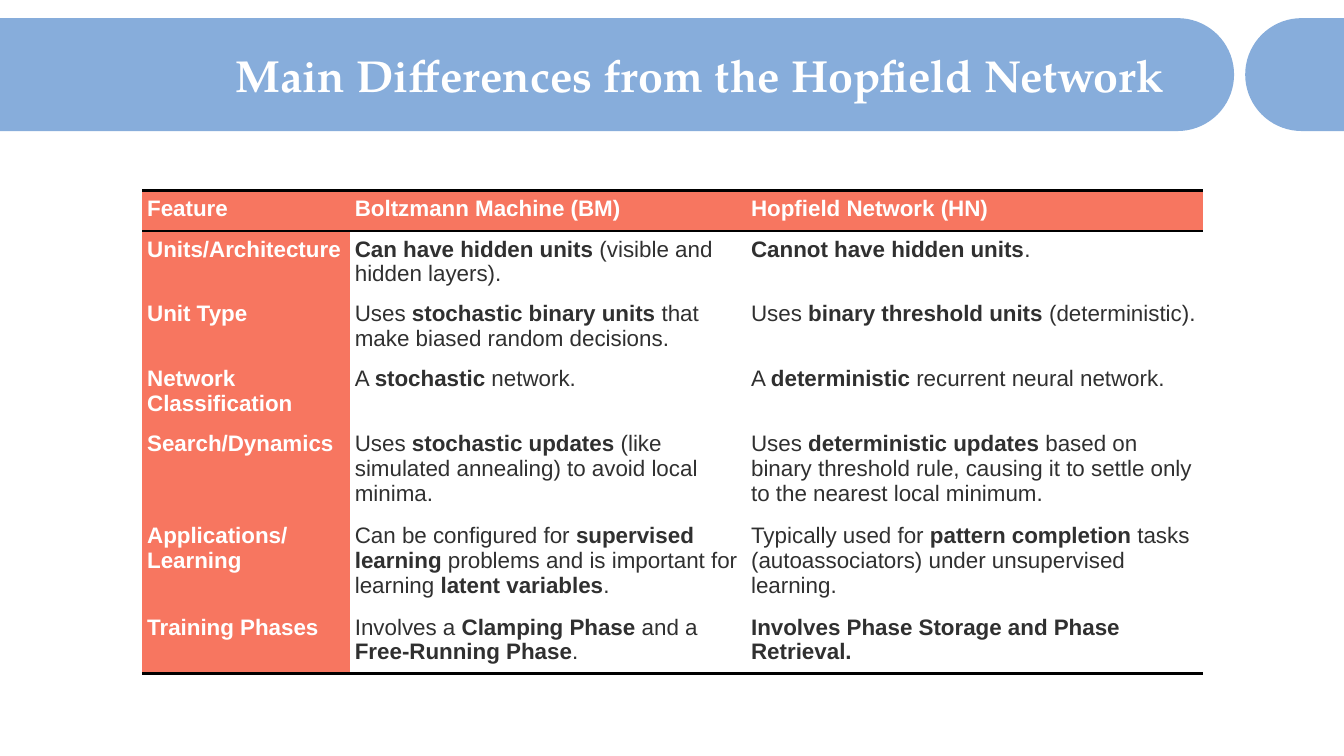
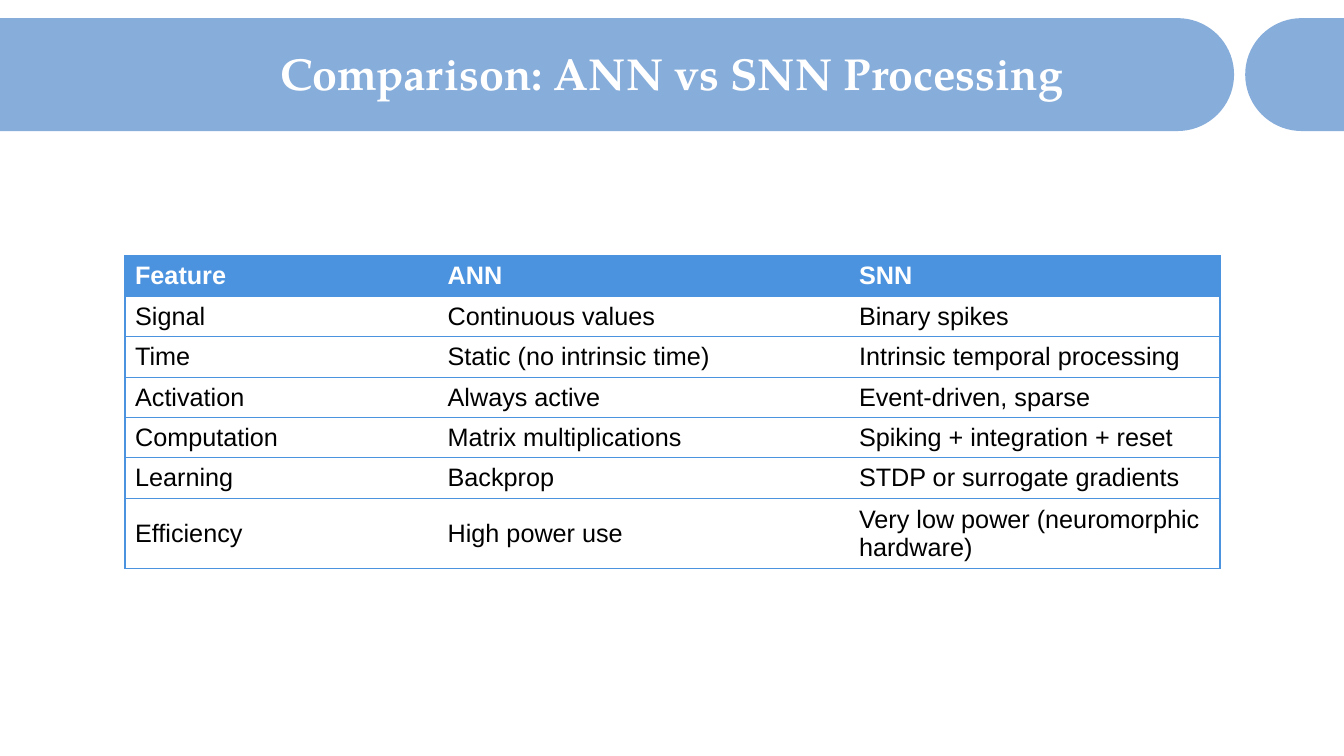
import math

from lxml import etree
from pptx import Presentation
from pptx.dml.color import RGBColor
from pptx.enum.text import MSO_ANCHOR, PP_ALIGN
from pptx.oxml.ns import qn
from pptx.util import Inches, Pt

CENTER, LEFT = PP_ALIGN.CENTER, PP_ALIGN.LEFT
TOP, MIDDLE = MSO_ANCHOR.TOP, MSO_ANCHOR.MIDDLE

WHITE = RGBColor(0xFF, 0xFF, 0xFF)
BLACK = RGBColor(0, 0, 0)
CHARCOAL = RGBColor(0x30, 0x30, 0x30)
BAND_BLUE = RGBColor(0x87, 0xAD, 0xDB)
TABLE_BLUE = RGBColor(0x4C, 0x93, 0xDF)
CORAL = RGBColor(0xF7, 0x76, 0x60)

TITLE_FONT, TABLE_FONT = "TeX Gyre Pagella", "Arial"
SLIDE_W, SLIDE_H = 13.33, 7.5
BAND_TOP, BAND_BOTTOM = 0.18, 1.3
BAND_RADIUS = (BAND_BOTTOM - BAND_TOP) / 2

MACHINE_ROWS = [
    ("Feature", "Boltzmann Machine (BM)", "Hopfield Network (HN)"),
    ("Units/Architecture",
     "**Can have hidden units** (visible and hidden layers).",
     "**Cannot have hidden units**."),
    ("Unit Type",
     "Uses **stochastic binary units** that make biased random decisions.",
     "Uses **binary threshold units** (deterministic)."),
    ("Network Classification",
     "A **stochastic** network.",
     "A **deterministic** recurrent neural network."),
    ("Search/Dynamics",
     "Uses **stochastic updates** (like simulated annealing) to avoid local "
     "minima.",
     "Uses **deterministic updates** based on binary threshold rule, causing "
     "it to settle only to the nearest local minimum."),
    ("Applications/\nLearning",
     "Can be configured for **supervised learning** problems and is important "
     "for learning **latent variables**.",
     "Typically used for **pattern completion** tasks (autoassociators) under "
     "unsupervised learning."),
    ("Training Phases",
     "Involves a **Clamping Phase** and a **Free-Running Phase**.",
     "**Involves Phase Storage and Phase Retrieval.**"),
]
PROCESSING_ROWS = [
    ("Feature", "ANN", "SNN"),
    ("Signal", "Continuous values", "Binary spikes"),
    ("Time", "Static (no intrinsic time)", "Intrinsic temporal processing"),
    ("Activation", "Always active", "Event-driven, sparse"),
    ("Computation", "Matrix multiplications", "Spiking + integration + reset"),
    ("Learning", "Backprop", "STDP or surrogate gradients"),
    ("Efficiency", "High power use", "Very low power (neuromorphic hardware)"),
]


def write(frame, text, *, size, color, font=TABLE_FONT, bold=False,
          align=LEFT, anchor=TOP, line_spacing=1.0):
    """Write text; a newline starts a paragraph, ** toggles bold."""
    frame.word_wrap = True
    frame.vertical_anchor = anchor
    for index, line in enumerate(text.split("\n")):
        paragraph = frame.paragraphs[0] if index == 0 else frame.add_paragraph()
        paragraph.alignment = align
        paragraph.line_spacing = line_spacing
        for part, words in enumerate(line.split("**")):
            if words:
                run = paragraph.add_run()
                run.text = words
                run.font.name, run.font.size = font, Pt(size)
                run.font.bold = bold or part % 2 == 1
                run.font.color.rgb = color


def add_band_part(slide, flat_x, round_x):
    """Draw a band with a straight end at flat_x and a round one at round_x."""
    side = 1 if round_x > flat_x else -1
    center_x, center_y = round_x - side * BAND_RADIUS, BAND_TOP + BAND_RADIUS
    arc = [(center_x + side * BAND_RADIUS * math.cos(math.radians(angle)),
            center_y + BAND_RADIUS * math.sin(math.radians(angle)))
           for angle in range(-90, 91, 5)]
    corners = [(Inches(x), Inches(y)) for x, y in [*arc, (flat_x, BAND_BOTTOM)]]
    builder = slide.shapes.build_freeform(Inches(flat_x), Inches(BAND_TOP))
    builder.add_line_segments(corners, close=True)
    band = builder.convert_to_shape()
    band.shadow.inherit = False
    band.fill.solid()
    band.fill.fore_color.rgb = BAND_BLUE
    band.line.fill.background()


def add_titled_slide(prs, title, left, top):
    slide = prs.slides.add_slide(prs.slide_layouts[6])
    # Header band
    add_band_part(slide, 0, 12.24)
    add_band_part(slide, SLIDE_W, 12.35)
    # Title
    title_box = slide.shapes.add_textbox(
        Inches(left), Inches(top), Inches(12.17), Inches(1.23))
    write(title_box.text_frame, title, size=32, color=WHITE, font=TITLE_FONT,
          bold=True, align=CENTER, anchor=MIDDLE, line_spacing=0.9)
    return slide


def set_borders(cell, color, width, edges):
    """Rule the given edges (letters of LRTB) and clear the others."""
    properties = cell._tc.get_or_add_tcPr()
    for position, edge in enumerate("LRTB"):
        line = etree.Element(qn(f"a:ln{edge}"), w=str(Pt(width)))
        properties.insert(position, line)
        if edge in edges:
            fill = etree.SubElement(line, qn("a:solidFill"))
            etree.SubElement(fill, qn("a:srgbClr"), val=str(color))
        else:
            etree.SubElement(line, qn("a:noFill"))


def add_grid(slide, rows, left, top, widths, height, *, size, text_color,
             header_fill, header_column, header_height, rule_color, rule_width,
             edges_at, anchor=TOP, inset_x=0.1, inset_top=0.05):
    """Add a table; edges_at(row, column) names the ruled edges of a cell."""
    grid = slide.shapes.add_table(
        len(rows), len(widths), Inches(left), Inches(top),
        Inches(sum(widths)), Inches(height))
    table = grid.table
    table.first_row = table.horz_banding = False
    for column, width in zip(table.columns, widths):
        column.width = Inches(width)
    for r, texts in enumerate(rows):
        # Body rows take their height from the text
        table.rows[r].height = Inches(0 if r else header_height)
        for c, text in enumerate(texts):
            cell = table.cell(r, c)
            is_header = r == 0 or (header_column and c == 0)
            cell.margin_left = cell.margin_right = Inches(inset_x)
            cell.margin_top, cell.margin_bottom = Inches(inset_top), Inches(0.05)
            cell.fill.solid()
            cell.fill.fore_color.rgb = header_fill if is_header else WHITE
            write(cell.text_frame, text, size=size, bold=is_header,
                  color=WHITE if is_header else text_color)
            cell.vertical_anchor = anchor
            set_borders(cell, rule_color, rule_width, edges_at(r, c))
    grid.height = Inches(height)


def machine_edges(row, column):
    """Rules around the header row and under the last row."""
    return {0: "TB", 1: "T", len(MACHINE_ROWS) - 1: "B"}.get(row, "")


def processing_edges(row, column):
    """Rules between all rows and at the outer sides."""
    return "TB" + {0: "L", 2: "R"}.get(column, "")


def main():
    prs = Presentation()
    prs.slide_width, prs.slide_height = Inches(SLIDE_W), Inches(SLIDE_H)

    # Boltzmann machine against Hopfield network
    slide = add_titled_slide(
        prs, "Main Differences from the Hopfield Network", 0.86, 0.16)
    add_grid(slide, MACHINE_ROWS, 1.41, 1.89, [2.06, 3.93, 4.53], 4.53,
             size=16, text_color=CHARCOAL, header_fill=CORAL,
             header_column=True, header_height=0.4, rule_color=BLACK,
             rule_width=2, edges_at=machine_edges, inset_x=0.05,
             inset_top=0.06)

    # ANN against SNN
    slide = add_titled_slide(
        prs, "Comparison: ANN vs SNN Processing", 0.58, 0.14)
    add_grid(slide, PROCESSING_ROWS, 1.24, 2.54, [3.1, 4.08, 3.68], 2.95,
             size=18, text_color=BLACK, header_fill=TABLE_BLUE,
             header_column=False, header_height=0.38, rule_color=TABLE_BLUE,
             rule_width=1, edges_at=processing_edges, anchor=MIDDLE)

    prs.save("out.pptx")


if __name__ == "__main__":
    main()
